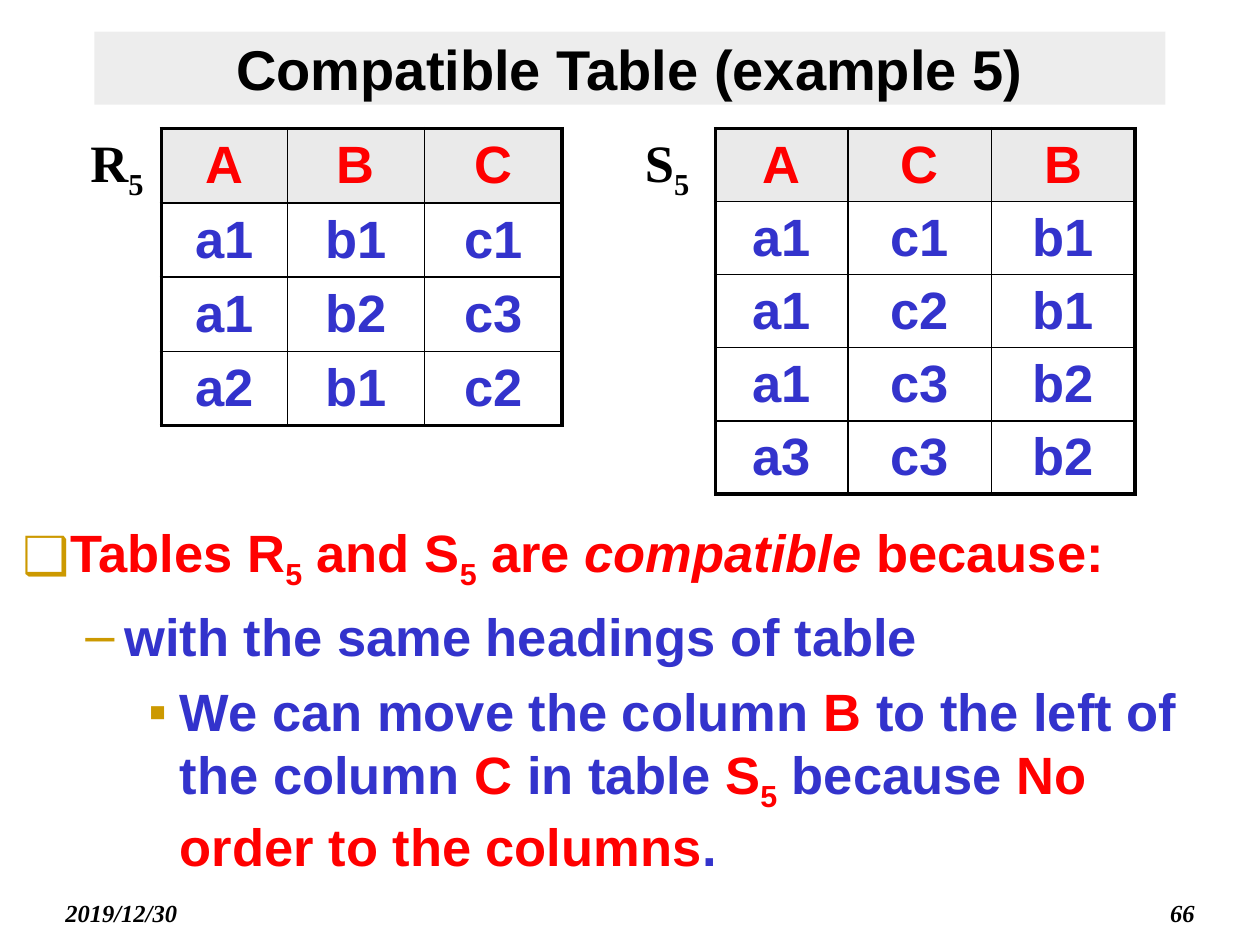
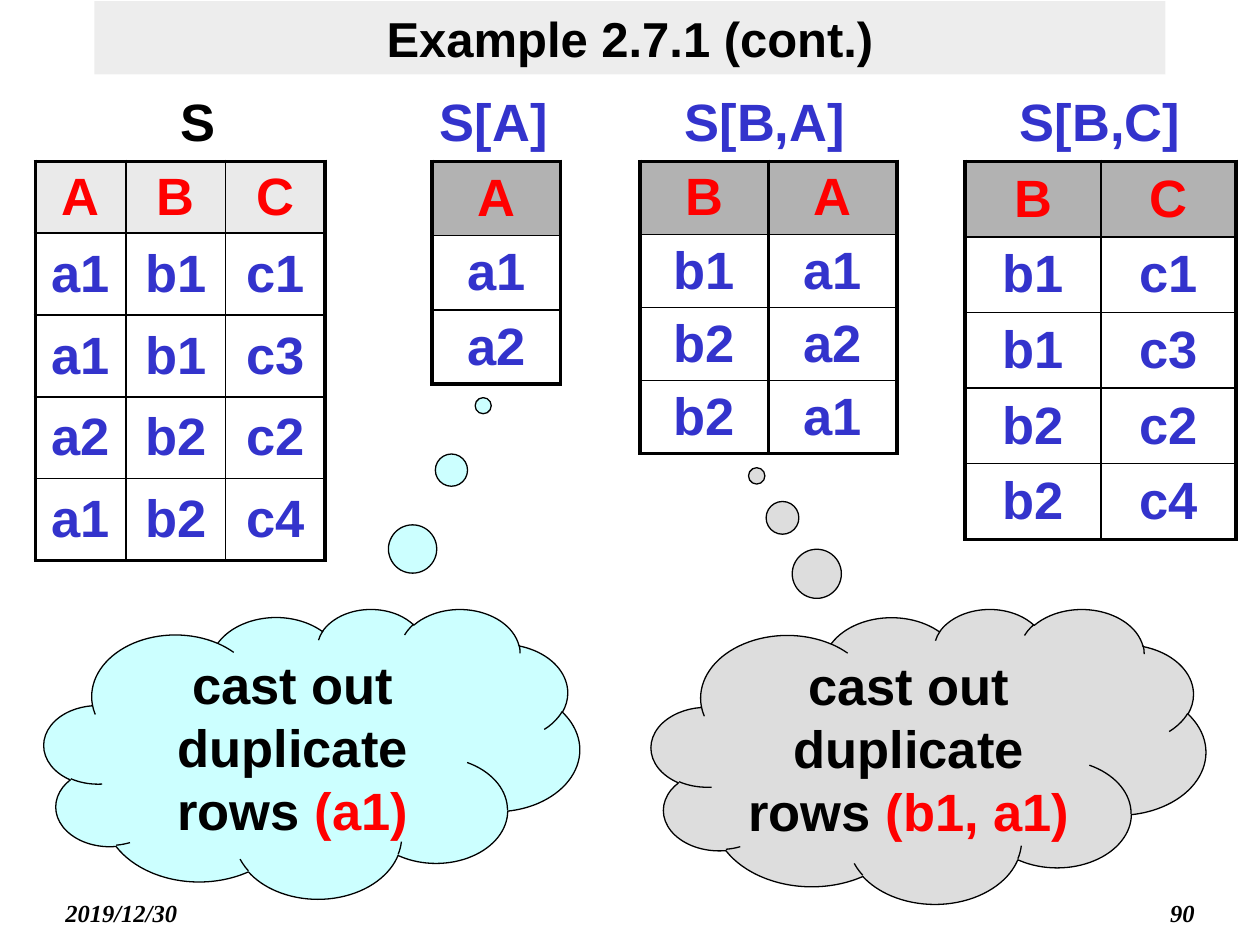
from lxml.etree import SubElement
from pptx import Presentation
from pptx.dml.color import RGBColor
from pptx.enum.shapes import MSO_SHAPE as SHAPE
from pptx.enum.text import MSO_ANCHOR as ANCHOR, PP_ALIGN as ALIGN
from pptx.oxml import parse_xml
from pptx.oxml.ns import nsdecls, qn
from pptx.util import Inches, Pt

BLACK, WHITE, RED, BLUE, GOLD = "000000", "FFFFFF", "FF0000", "3333CC", "CC9900"
BAND, LIGHT_HEAD, DARK_HEAD = "DDDDDD", "EAEAEA", "B2B2B2"
CYAN = "CCFFFF"
SANS, SERIF = "Arial", "Times New Roman"
SIZE = 30
THICK, THIN = 2.25, 1
SIDE, NO_INSET = (0.1, 0), (0, 0)


def rgb(value):
    """Turn a hex string into a colour."""
    return RGBColor.from_string(value)


def add_runs(p, runs, size=SIZE, font=SANS):
    """Add (text, colour, style) runs; style is sub, italic or left out."""
    for text, color, *style in runs:
        r = p.add_run()
        r.text = text
        r.font.name, r.font.size, r.font.bold = font, Pt(size), True
        r.font.italic = "italic" in style
        r.font.color.rgb = rgb(color)
        if "sub" in style:
            r.font._element.set("baseline", "-25000")


def set_insets(obj, insets):
    """Set the horizontal and vertical margins of a cell or text frame."""
    across, down = map(Inches, insets)
    obj.margin_left = obj.margin_right = across
    obj.margin_top = obj.margin_bottom = down


def add_text(slide, box, runs, size=SIZE, font=SANS, align=ALIGN.LEFT, insets=SIDE):
    """Add a wrapping text box with one paragraph."""
    tf = slide.shapes.add_textbox(*map(Inches, box)).text_frame
    tf.word_wrap = True
    set_insets(tf, insets)
    p = tf.paragraphs[0]
    p.alignment = align
    add_runs(p, runs, size, font)


def add_filled_shape(slide, kind, box, fill, runs, size=SIZE, anchor=ANCHOR.TOP):
    """Add a filled preset shape with centred text."""
    sp = slide.shapes.add_shape(kind, *map(Inches, box))
    sp.shadow.inherit = False
    sp.fill.solid()
    sp.fill.fore_color.rgb = rgb(fill)
    sp.line.fill.background()
    tf = sp.text_frame
    tf.word_wrap = True
    tf.vertical_anchor = anchor
    p = tf.paragraphs[0]
    p.alignment = ALIGN.CENTER
    add_runs(p, runs, size)
    return sp


def add_base_slide(prs, title, number, top, size):
    """Add a slide with its title band, date and page number."""
    slide = prs.slides.add_slide(prs.slide_layouts[6])
    band = add_filled_shape(slide, SHAPE.RECTANGLE, (0.75, top, 8.5, 0.58), BAND,
                            [(title, BLACK)], size, ANCHOR.MIDDLE)
    color = next(band._element.spPr.iter(qn("a:srgbClr")))
    SubElement(color, qn("a:alpha"), val="50000")
    for left, text, align in ((0.42, "2019/12/30", ALIGN.LEFT), (7.5, number, ALIGN.RIGHT)):
        add_text(slide, (left, 7.08, 2.08, 0.33), [(text, BLACK, "italic")],
                 14, SERIF, align, (0.1, 0.05))
    return slide


def set_borders(cell, widths):
    """Draw the left, right, top and bottom cell borders."""
    tc_pr = cell._tc.get_or_add_tcPr()
    for i, (side, width) in enumerate(zip("LRTB", widths)):
        tc_pr.insert(i, parse_xml(
            f'<a:ln{side} {nsdecls("a")} w="{Pt(width)}"><a:solidFill>'
            f'<a:srgbClr val="{BLACK}"/></a:solidFill></a:ln{side}>'))


def add_relation(slide, left, top, col_widths, row_heights, rows, head_fill, divider=THIN):
    """Add a relation table; rows are strings of space-separated values."""
    head_height, body_height = row_heights
    grid = [row.split() for row in rows]
    n_rows, n_cols = len(grid), len(col_widths)
    heights = [head_height] + [body_height] * (n_rows - 1)
    frame = slide.shapes.add_table(n_rows, n_cols, Inches(left), Inches(top),
                                   Inches(sum(col_widths)), Inches(sum(heights)))
    table = frame.table
    table.horz_banding = False
    for column, width in zip(table.columns, col_widths):
        column.width = Inches(width)
    for i, values in enumerate(grid):
        table.rows[i].height = Inches(heights[i])
        for j, value in enumerate(values):
            cell = table.cell(i, j)
            set_insets(cell, SIDE)
            cell.vertical_anchor = ANCHOR.MIDDLE
            cell.fill.solid()
            cell.fill.fore_color.rgb = rgb(WHITE if i else head_fill)
            set_borders(cell, (divider if j else THICK,
                               divider if j < n_cols - 1 else THICK,
                               THIN if i else THICK,
                               THIN if i < n_rows - 1 else THICK))
            p = cell.text_frame.paragraphs[0]
            p.alignment = ALIGN.CENTER
            add_runs(p, [(value, BLUE if i else RED)])


def add_bullets(slide, box, items):
    """Add bulleted paragraphs from (mark, left margin, hanging indent, runs)."""
    tf = slide.shapes.add_textbox(*map(Inches, box)).text_frame
    tf.word_wrap = True
    for level, (mark, margin, hang, runs) in enumerate(items):
        p = tf.add_paragraph() if level else tf.paragraphs[0]
        p.level = level
        p_pr = p._p.get_or_add_pPr()
        p_pr.set("marL", str(Inches(margin)))
        p_pr.set("indent", str(-Inches(hang)))
        SubElement(SubElement(p_pr, qn("a:buClr")), qn("a:srgbClr"), val=GOLD)
        SubElement(p_pr, qn("a:buFont"), typeface=SANS)
        SubElement(p_pr, qn("a:buChar"), char=mark)
        if level:
            p.space_before = Pt(7)
        add_runs(p, runs)


def add_cloud(slide, box, tail, fill, rows_cast_out):
    """Add a thought cloud naming the duplicate rows."""
    sp = add_filled_shape(slide, SHAPE.CLOUD_CALLOUT, box, fill,
                          [("cast out duplicate rows ", BLACK), (rows_cast_out, RED)])
    sp.adjustments[0], sp.adjustments[1] = tail
    sp.line.color.rgb = rgb(BLACK)
    sp.line.width = Pt(0.75)
    set_insets(sp.text_frame, NO_INSET)


def build_compatible_slide(prs):
    """Build the slide on compatible tables."""
    slide = add_base_slide(prs, "Compatible Table (example 5)", "66", 0.25, 32)
    add_bullets(slide, (0.08, 4.08, 9.72, 3), [
        ("❑", 0.38, 0.38, [("Tables R", RED), ("5", RED, "sub"), (" and S", RED),
                           ("5", RED, "sub"), (" are ", RED),
                           ("compatible", RED, "italic"), (" because:", RED)]),
        ("–", 0.81, 0.31, [("with the same headings of table", BLUE)]),
        ("▪", 1.25, 0.25, [("We can move the column ", BLUE), ("B", RED),
                           (" to the left of the column ", BLUE), ("C", RED),
                           (" in table ", BLUE), ("S", RED), ("5", RED, "sub"),
                           (" because ", BLUE), ("No order to the columns", RED),
                           (".", BLUE)]),
    ])
    relations = (
        ("R", 0.62, 1.28, (1, 1.09, 1.09), 0.59,
         ("A B C", "a1 b1 c1", "a1 b2 c3", "a2 b1 c2")),
        ("S", 5.02, 5.68, (1.05, 1.14, 1.14), 0.58,
         ("A C B", "a1 c1 b1", "a1 c2 b1", "a1 c3 b2", "a3 c3 b2")),
    )
    for name, label_left, left, widths, height, rows in relations:
        add_relation(slide, left, 1.02, widths, (height, height), rows, LIGHT_HEAD)
        add_text(slide, (label_left, 1.03, 0.83, 0.5),
                 [(name, BLACK), ("5", BLACK, "sub")], font=SERIF)


def build_projection_slide(prs):
    """Build the slide on projections of S."""
    slide = add_base_slide(prs, "Example 2.7.1 (cont.)", "90", 0.01, 28)
    relations = (
        ("S", BLACK, 0.57, 0.28, (0.72, 0.79, 0.79), (0.57, 0.65), LIGHT_HEAD, THIN,
         ("A B C", "a1 b1 c1", "a1 b1 c3", "a2 b2 c2", "a1 b2 c4")),
        ("S[A]", BLUE, 2.92, 3.43, (1.02,), (0.59, 0.59), DARK_HEAD, THIN,
         ("A", "a1", "a2")),
        ("S[B,A]", BLUE, 5.07, 5.08, (1.02, 1.02), (0.58, 0.58), DARK_HEAD, THICK,
         ("B A", "b1 a1", "b2 a2", "b2 a1")),
        ("S[B,C]", BLUE, 7.73, 7.66, (1.08, 1.07), (0.6, 0.6), DARK_HEAD, THIN,
         ("B C", "b1 c1", "b1 c3", "b2 c2", "b2 c4")),
    )
    for name, color, label_left, left, widths, heights, head, divider, rows in relations:
        add_relation(slide, left, 1.28, widths, heights, rows, head, divider)
        add_text(slide, (label_left, 0.71, 2, 0.5), [(name, color)], align=ALIGN.CENTER)
    add_cloud(slide, (0.35, 4.83, 4.25, 2.3), (0.32, -1.2), CYAN, "(a1)")
    add_cloud(slide, (5.17, 4.83, 4.4, 2.34), (-0.31, -0.95), BAND, "(b1, a1)")


def main():
    """Build and save the presentation."""
    prs = Presentation()
    prs.slide_width, prs.slide_height = Inches(10), Inches(7.5)
    build_compatible_slide(prs)
    build_projection_slide(prs)
    prs.save("out.pptx")


if __name__ == "__main__":
    main()
